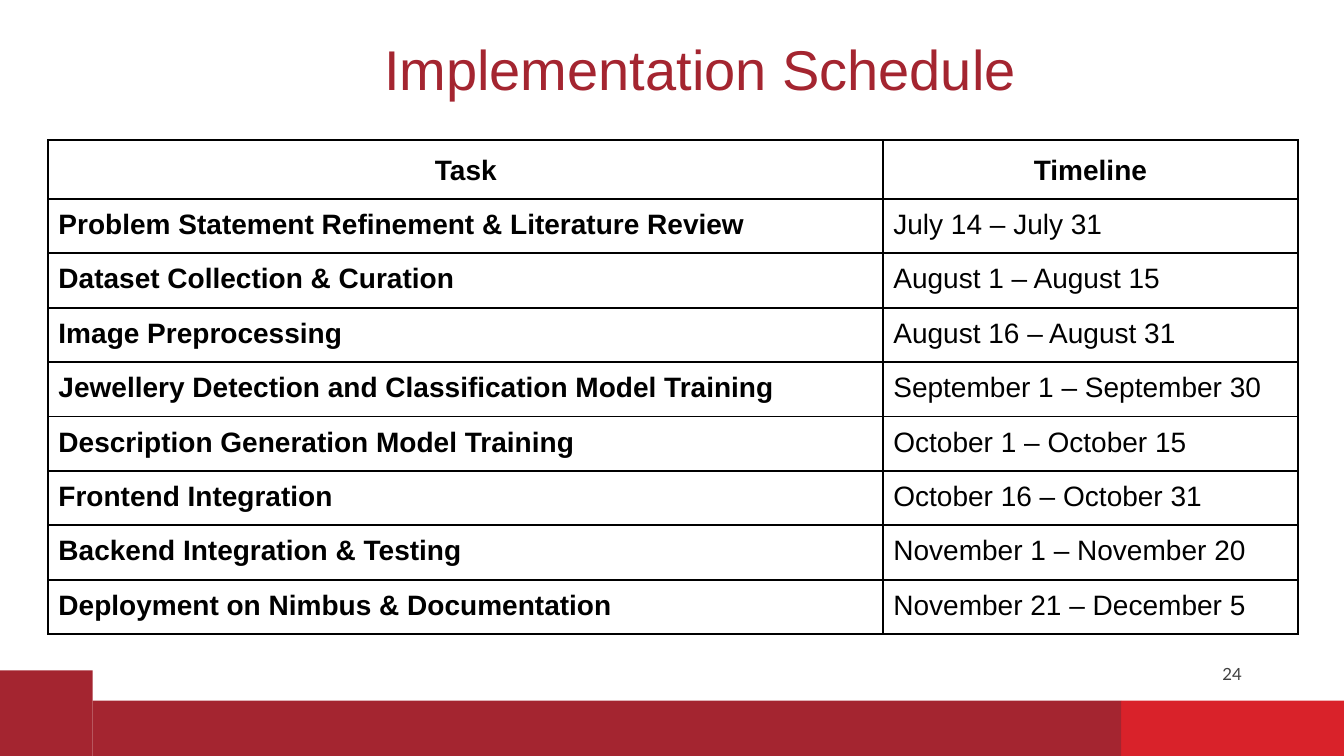
from dataclasses import dataclass

from lxml import etree
from pptx import Presentation
from pptx import util as u
from pptx.dml.color import RGBColor
from pptx.enum import shapes, text
from pptx.oxml.ns import qn


@dataclass(frozen=True)
class Theme:
    crimson: str = "A42530"
    scarlet: str = "D9222A"
    ink: str = "000000"
    grey: str = "3F3F3F"
    main_font: str = "Arial"
    number_font: str = "Lato"
    title_size: int = 40
    table_size: int = 20
    number_size: int = 12
    border: float = 1.5


class ScheduleSlide:
    """Holds the theme and the current slide; lengths are percent of its size."""

    def __init__(self, deck, theme):
        self.deck, self.theme = deck, theme
        self.slide = deck.slides.add_slide(deck.slide_layouts[5])

    def across(self, share):
        return u.Emu(round(self.deck.slide_width * share / 100))

    def down(self, share):
        return u.Emu(round(self.deck.slide_height * share / 100))

    def box(self, left, top, width, height):
        return self.across(left), self.down(top), self.across(width), self.down(height)

    def set_text(self, frame, wording, size, color, font=None, bold=False,
                 align=text.PP_ALIGN.LEFT, spacing=1.0):
        frame.text = wording
        line = frame.paragraphs[0]
        line.alignment, line.line_spacing = align, spacing
        style = line.runs[0].font
        style.name = font or self.theme.main_font
        style.size, style.bold = u.Pt(size), bold
        style.color.rgb = RGBColor.from_string(color)

    def bar(self, place, color):
        band = self.slide.shapes.add_shape(shapes.MSO_SHAPE.RECTANGLE, *self.box(*place))
        band.shadow.inherit = False
        band.fill.solid()
        band.fill.fore_color.rgb = RGBColor.from_string(color)
        band.line.fill.background()

    def title(self, place, wording):
        heading = self.slide.shapes.title
        heading.left, heading.top, heading.width, heading.height = self.box(*place)
        frame = heading.text_frame
        frame.vertical_anchor = text.MSO_ANCHOR.MIDDLE
        self.set_text(frame, wording, self.theme.title_size, self.theme.crimson, spacing=0.9)

    def page_number(self, place, number):
        frame = self.slide.shapes.add_textbox(*self.box(*place)).text_frame
        frame.word_wrap = True
        frame.vertical_anchor = text.MSO_ANCHOR.MIDDLE
        self.set_text(frame, number, self.theme.number_size, self.theme.grey,
                      font=self.theme.number_font, align=text.PP_ALIGN.CENTER)

    def outline(self, cell):
        properties = cell._tc.get_or_add_tcPr()
        for side in ("a:lnL", "a:lnR", "a:lnT", "a:lnB"):
            edge = etree.SubElement(properties, qn(side), w=str(u.Pt(self.theme.border)))
            fill = etree.SubElement(edge, qn("a:solidFill"))
            etree.SubElement(fill, qn("a:srgbClr"), val=self.theme.ink)

    def table(self, left, top, widths, header_height, row_height, entries):
        height = header_height + row_height * (len(entries) - 1)
        grid = self.slide.shapes.add_table(
            len(entries), len(widths), *self.box(left, top, sum(widths), height)).table
        grid.first_row = grid.horz_banding = False
        for column, width in zip(grid.columns, widths):
            column.width = self.across(width)
        for r, entry in enumerate(entries):
            header = r == 0
            grid.rows[r].height = self.down(header_height if header else row_height)
            for c, wording in enumerate(entry):
                cell = grid.cell(r, c)
                cell.margin_left = cell.margin_right = u.Inches(0.1)
                cell.margin_top = cell.margin_bottom = u.Inches(0.1)
                self.outline(cell)
                cell.fill.background()
                self.set_text(cell.text_frame, wording, self.theme.table_size, self.theme.ink,
                              bold=header or c == 0,
                              align=text.PP_ALIGN.CENTER if header else text.PP_ALIGN.LEFT,
                              spacing=1.15 if header else 1.0)


SCHEDULE = [
    ("Task", "Timeline"),
    ("Problem Statement Refinement & Literature Review", "July 14 – July 31"),
    ("Dataset Collection & Curation", "August 1 – August 15"),
    ("Image Preprocessing", "August 16 – August 31"),
    ("Jewellery Detection and Classification Model Training", "September 1 – September 30"),
    ("Description Generation Model Training", "October 1 – October 15"),
    ("Frontend Integration", "October 16 – October 31"),
    ("Backend Integration & Testing", "November 1 – November 20"),
    ("Deployment on Nimbus & Documentation", "November 21 – December 5"),
]


def main():
    deck = Presentation()
    deck.slide_width, deck.slide_height = u.Inches(13.33), u.Inches(7.5)
    theme = Theme()
    page = ScheduleSlide(deck, theme)

    # Footer bands
    corner, split, band_top = 6.9, 83.42, 92.67
    page.bar((0, 88.67, corner, 11.33), theme.crimson)
    page.bar((split, band_top, 100 - split, 100 - band_top), theme.scarlet)
    page.bar((corner, band_top, split - corner, 100 - band_top), theme.crimson)
    page.page_number((split, 85.47, 16.5, 7.2), "24")

    # Heading and schedule
    page.title((27.83, 1.73, 50.63, 15.6), "Implementation Schedule")
    page.table(3.6, 18.53, (62.12, 30.83), 6.8, 7.2, SCHEDULE)

    deck.save("out.pptx")


if __name__ == "__main__":
    main()
